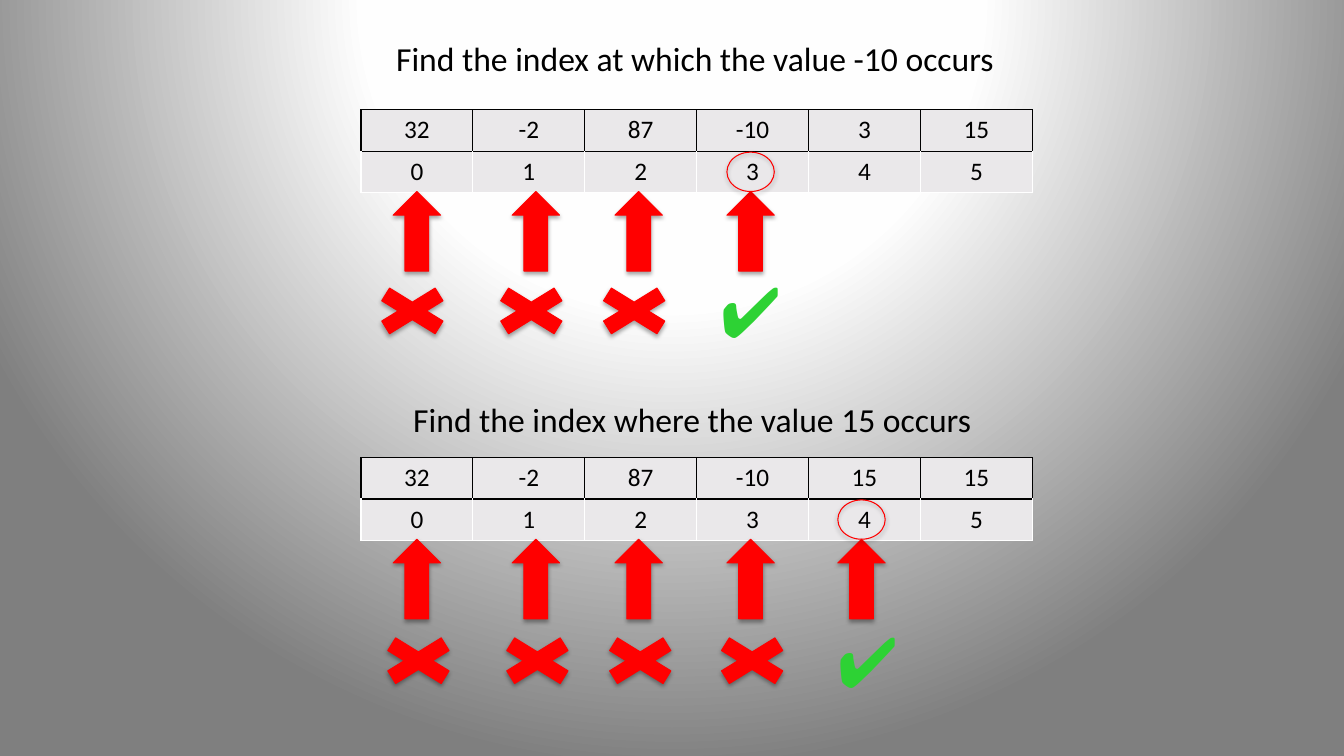
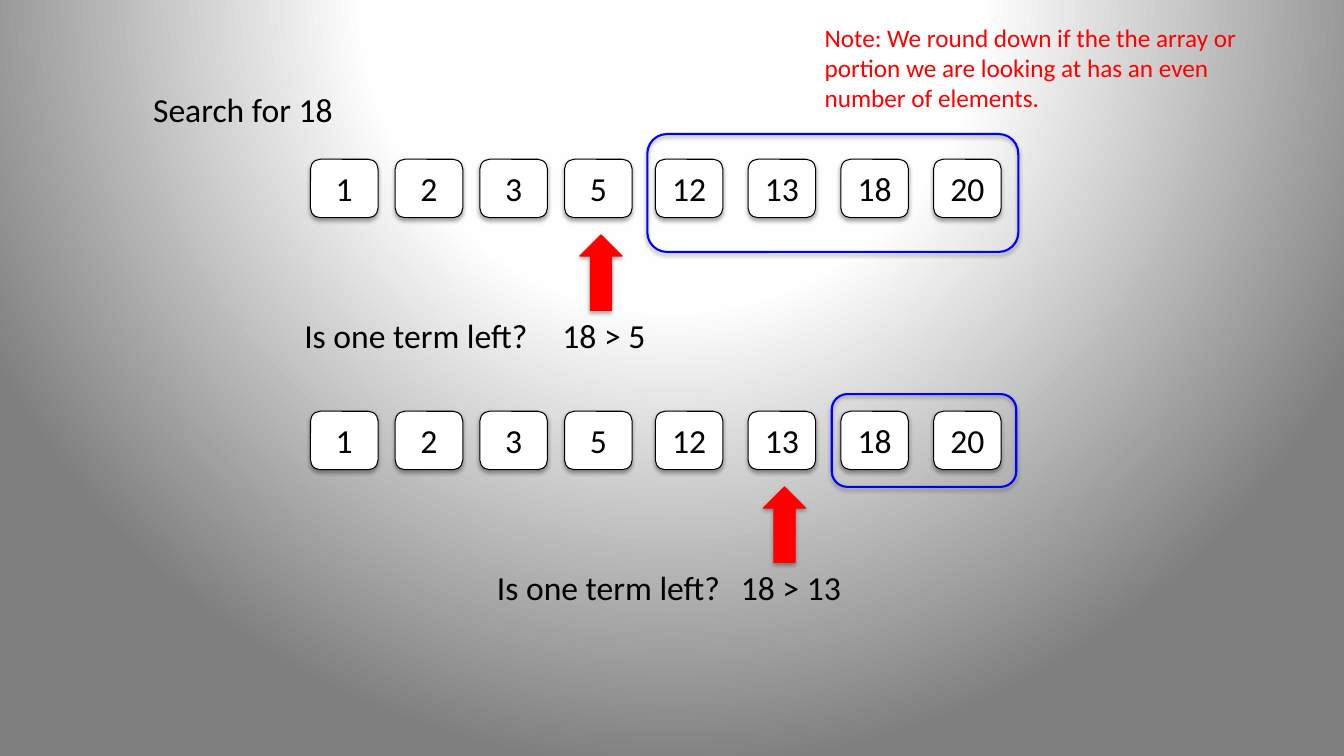
import dataclasses
import typing

import pptx
import pptx.dml.color
import pptx.enum.shapes
import pptx.enum.text
import pptx.oxml
import pptx.oxml.ns
import pptx.presentation
import pptx.shapes.autoshape
import pptx.slide
import pptx.table
import pptx.text.text
import pptx.util

Inches = pptx.util.Inches
Pt = pptx.util.Pt
RGBColor = pptx.dml.color.RGBColor
SHAPE = pptx.enum.shapes.MSO_SHAPE

BLACK = RGBColor(0x00, 0x00, 0x00)
WHITE = RGBColor(0xFF, 0xFF, 0xFF)
RED = RGBColor(0xFF, 0x00, 0x00)
BLUE = RGBColor(0x00, 0x00, 0xFF)
GREEN = RGBColor(0x2D, 0xD2, 0x34)
CELL_GREY = RGBColor(0xEA, 0xE8, 0xEA)
FADE_START = RGBColor(0xFE, 0xFE, 0xFE)
FADE_END = RGBColor(0x7F, 0x7F, 0x7F)

HEADING = {"name": "Calibri", "size": Pt(24)}
BODY = {"name": "Calibri", "size": Pt(18)}
CHECK = {"name": "Arial", "size": Pt(50)}

TABLE_LEFT = 3.58
COLUMN_WIDTH = 1.11
ROW_HEIGHT = 0.41
POINTER_LEFTS = (3.9, 5.08, 6.1, 7.21, 8.31)
POINTER_WIDTH = 0.47

TILE_VALUES = (1, 2, 3, 5, 12, 13, 18, 20)
TILE_SIZE = (0.67, 0.58)


class Box(typing.NamedTuple):
    """Left, top, width and height in inches."""
    left: float
    top: float
    width: float
    height: float

    def lengths(self) -> list[pptx.util.Length]:
        return [Inches(value) for value in self]


@dataclasses.dataclass(frozen=True)
class LinearSearch:
    title: str
    title_box: Box
    values: tuple[int, ...]
    found_index: int
    table_top: float
    mark_shift: tuple[float, float]


@dataclasses.dataclass(frozen=True)
class BinaryStep:
    tile_top: float
    middle_index: int
    frame: Box
    question_left: float
    comparison: str
    comparison_box: Box


LINEAR_SEARCHES = (
    LinearSearch("Find the index at which the value -10 occurs", Box(3.83, 0.33, 6.21, 0.5),
                 (32, -2, 87, -10, 3, 15), 3, 1.09, (0, 0)),
    LinearSearch("Find the index where the value 15 occurs", Box(4, 3.91, 5.81, 0.5),
                 (32, -2, 87, -10, 15, 15), 4, 4.54, (0.06, 0.02)),
)
BINARY_STEPS = (
    BinaryStep(1.58, 3, Box(6.42, 1.33, 3.68, 1.17), 2.92,
               "18 > 5", Box(5.48, 3.08, 1.03, 0.5)),
    BinaryStep(4.08, 5, Box(8.25, 3.91, 1.83, 0.92), 4.83,
               "18 > 13", Box(7.25, 5.58, 1.2, 0.5)),
)


def set_background(master: pptx.slide.SlideMaster) -> None:
    """Give every slide the same radial fade."""
    master.background.fill.solid()
    stops = "".join(
        f'<a:gs pos="{position}"><a:srgbClr val="{color}"/></a:gs>'
        for position, color in ((0, WHITE), (40000, FADE_START), (100000, FADE_END)))
    gradient = pptx.oxml.parse_xml(
        f'<a:gradFill {pptx.oxml.ns.nsdecls("a")} rotWithShape="1"><a:gsLst>{stops}</a:gsLst>'
        '<a:path path="circle"><a:fillToRect l="50000" t="-80000" r="50000" b="180000"/>'
        '</a:path></a:gradFill>')
    properties = master.element.find(".//" + pptx.oxml.ns.qn("p:bgPr"))
    properties.replace(properties[0], gradient)


def format_font(font: pptx.text.text.Font, style: dict[str, typing.Any],
                color: RGBColor = BLACK) -> None:
    for name, value in style.items():
        setattr(font, name, value)
    font.color.rgb = color


def add_text(slide: pptx.slide.Slide, text: str, box: Box,
             style: dict[str, typing.Any] = HEADING, color: RGBColor = BLACK) -> None:
    frame = slide.shapes.add_textbox(*box.lengths()).text_frame
    frame.word_wrap = False
    frame.auto_size = pptx.enum.text.MSO_AUTO_SIZE.SHAPE_TO_FIT_TEXT
    frame.text = text
    for paragraph in frame.paragraphs:
        format_font(paragraph.runs[0].font, style, color)


def add_shape(shapes: typing.Any, kind: SHAPE, box: Box, line: RGBColor = RED,
              fill: RGBColor | None = None,
              line_width: float = 0.75) -> pptx.shapes.autoshape.Shape:
    """Add a preset shape with a soft shadow below it; no fill colour leaves it hollow."""
    shape = shapes.add_shape(kind, *box.lengths())
    if fill is None:
        shape.fill.background()
    else:
        shape.fill.solid()
        shape.fill.fore_color.rgb = fill
    shape.line.color.rgb = line
    shape.line.width = Pt(line_width)
    shape.shadow.inherit = False
    effects = shape.element.spPr.find(pptx.oxml.ns.qn("a:effectLst"))
    effects.append(pptx.oxml.parse_xml(
        f'<a:outerShdw {pptx.oxml.ns.nsdecls("a")} blurRad="{Pt(3.1)}" dist="{Pt(1.8)}" '
        'dir="5400000" rotWithShape="0"><a:srgbClr val="000000"><a:alpha val="35000"/>'
        '</a:srgbClr></a:outerShdw>'))
    return shape


def set_borders(cell: pptx.table._Cell, colors: dict[str, RGBColor]) -> None:
    properties = cell._tc.get_or_add_tcPr()
    for side, color in colors.items():
        properties.append(pptx.oxml.parse_xml(
            f'<a:ln{side} {pptx.oxml.ns.nsdecls("a")} w="{Pt(1)}">'
            f'<a:solidFill><a:srgbClr val="{color}"/></a:solidFill></a:ln{side}>'))


def add_array_table(slide: pptx.slide.Slide, values: tuple[int, ...], top: float) -> None:
    """Draw the values with their indexes below."""
    rows = (values, range(len(values)))
    box = Box(TABLE_LEFT, top, COLUMN_WIDTH * len(values), ROW_HEIGHT * len(rows))
    table = slide.shapes.add_table(len(rows), len(values), *box.lengths()).table
    table.first_row = table.horz_banding = False
    for row_index, row in enumerate(rows):
        side_color = WHITE if row_index else BLACK
        borders = {"L": side_color, "R": side_color, "T": BLACK, "B": side_color}
        for column_index, value in enumerate(row):
            cell = table.cell(row_index, column_index)
            set_borders(cell, borders)
            cell.fill.solid()
            cell.fill.fore_color.rgb = CELL_GREY
            cell.text = str(value)
            paragraph = cell.text_frame.paragraphs[0]
            paragraph.alignment = pptx.enum.text.PP_ALIGN.CENTER
            format_font(paragraph.runs[0].font, BODY)


def draw_linear_search(slide: pptx.slide.Slide, search: LinearSearch) -> None:
    top = search.table_top
    shift_x, shift_y = search.mark_shift
    add_text(slide, search.title, search.title_box)
    add_array_table(slide, search.values, top)
    for index, left in enumerate(POINTER_LEFTS[:search.found_index + 1]):
        add_shape(slide.shapes, SHAPE.UP_ARROW,
                  Box(left, top + 0.81, POINTER_WIDTH, 0.79), fill=RED)
        if index < search.found_index:
            add_shape(slide.shapes, SHAPE.MATH_MULTIPLY,
                      Box(left - 0.32 + shift_x, top + 1.68 + shift_y, 1.02, 0.63), fill=RED)
        else:
            add_text(slide, "✔", Box(left - 0.16 + shift_x, top + 1.52 + shift_y, 0.8, 0.94),
                     CHECK, GREEN)
            add_shape(slide.shapes, SHAPE.OVAL, Box(left, top + 0.42, POINTER_WIDTH, 0.39))


def tile_left(index: int) -> float:
    """Two-digit tiles, from the fifth on, stand further apart."""
    return 3.08 + 0.84 * index if index < 4 else 6.5 + 0.92 * (index - 4)


def draw_binary_step(slide: pptx.slide.Slide, step: BinaryStep) -> None:
    top = step.tile_top
    add_shape(slide.shapes, SHAPE.UP_ARROW,
              Box(tile_left(step.middle_index) + 0.15, top + 0.75, 0.42, 0.75), fill=RED)
    add_shape(slide.shapes, SHAPE.ROUNDED_RECTANGLE, step.frame, BLUE, line_width=1.5)
    add_text(slide, "Is one term left?", Box(step.question_left, top + 1.5, 2.44, 0.5))
    add_text(slide, step.comparison, step.comparison_box)
    tiles = slide.shapes.add_group_shape()
    for index, value in enumerate(TILE_VALUES):
        tile = add_shape(tiles.shapes, SHAPE.ROUNDED_RECTANGLE,
                         Box(tile_left(index), top, *TILE_SIZE), BLACK, WHITE)
        frame = tile.text_frame
        frame.vertical_anchor = pptx.enum.text.MSO_ANCHOR.MIDDLE
        frame.text = str(value)
        paragraph = frame.paragraphs[0]
        paragraph.alignment = pptx.enum.text.PP_ALIGN.CENTER
        format_font(paragraph.runs[0].font, HEADING)


def add_blank_slide(presentation: pptx.presentation.Presentation) -> pptx.slide.Slide:
    return presentation.slides.add_slide(presentation.slide_layouts[6])


def main() -> None:
    presentation = pptx.Presentation()
    presentation.slide_width = Inches(13.33)
    presentation.slide_height = Inches(7.5)
    set_background(presentation.slide_master)

    linear_slide = add_blank_slide(presentation)
    for search in LINEAR_SEARCHES:
        draw_linear_search(linear_slide, search)

    binary_slide = add_blank_slide(presentation)
    add_text(binary_slide, "Search for 18", Box(1.42, 0.83, 2.01, 0.5))
    for step in BINARY_STEPS:
        draw_binary_step(binary_slide, step)
    add_text(binary_slide,
             "Note: We round down if the the array or\n"
             "portion we are looking at has an even\n"
             "number of elements.",
             Box(8.08, 0.17, 4.35, 1.01), BODY, RED)

    presentation.save("out.pptx")


if __name__ == "__main__":
    main()
